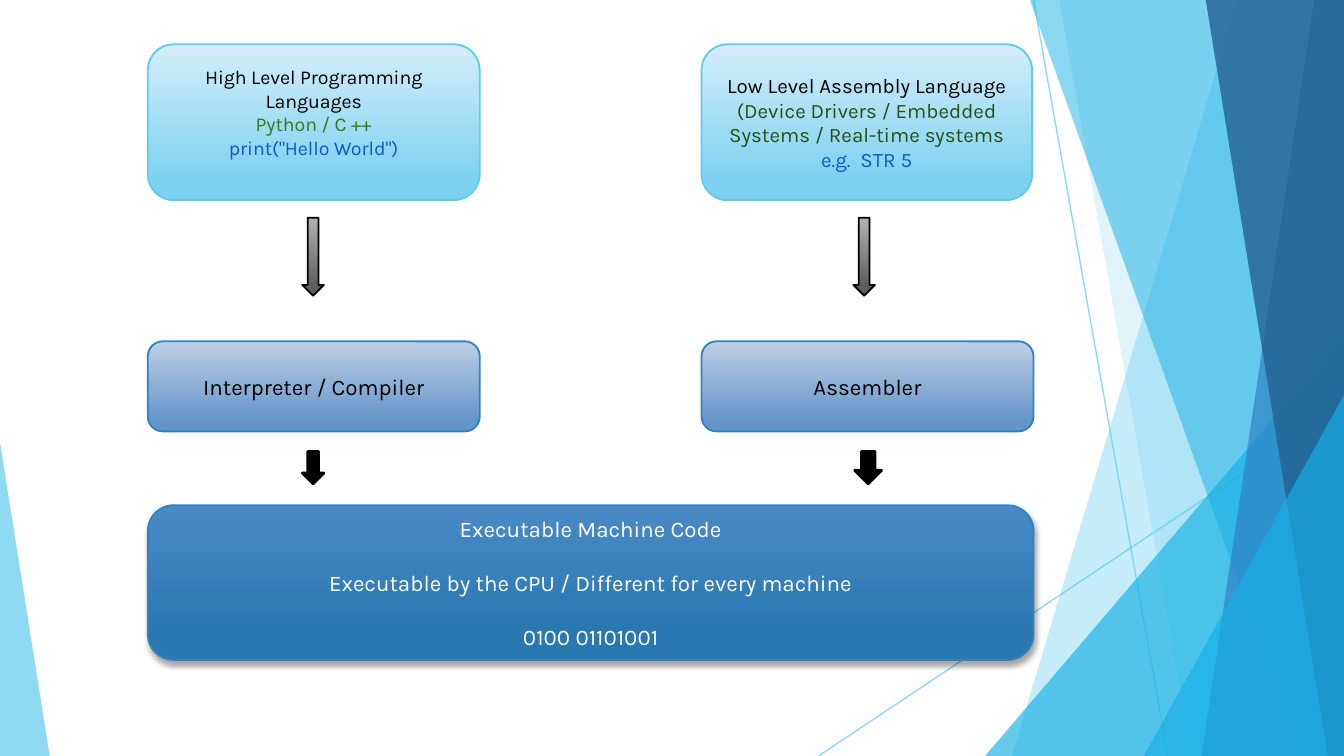
"""Build a slide showing how high and low level languages become machine code."""
from lxml import etree
from pptx import Presentation
from pptx.dml.color import RGBColor
from pptx.enum.shapes import MSO_CONNECTOR, MSO_SHAPE
from pptx.enum.text import MSO_ANCHOR, PP_ALIGN
from pptx.oxml.ns import qn
from pptx.util import Inches, Pt

STRAIGHT = MSO_CONNECTOR.STRAIGHT
ROUNDED = MSO_SHAPE.ROUNDED_RECTANGLE
DOWN_ARROW = MSO_SHAPE.DOWN_ARROW
TRIANGLE = MSO_SHAPE.ISOSCELES_TRIANGLE
TOP, MIDDLE = MSO_ANCHOR.TOP, MSO_ANCHOR.MIDDLE
CENTER = PP_ALIGN.CENTER

BLACK = RGBColor(0x00, 0x00, 0x00)
WHITE = RGBColor(0xFF, 0xFF, 0xFF)
SKY = RGBColor(0x5F, 0xCB, 0xEF)
CYAN = RGBColor(0x17, 0xB0, 0xE4)
BLUE = RGBColor(0x2E, 0x83, 0xC3)
NAVY = RGBColor(0x22, 0x62, 0x92)
GREEN = RGBColor(0x38, 0x76, 0x1D)
DARK_GREEN = RGBColor(0x27, 0x4E, 0x13)
CODE_BLUE = RGBColor(0x11, 0x55, 0xCC)
LANGUAGE_FILL = (RGBColor(0xD4, 0xEE, 0xF9), RGBColor(0x7D, 0xD1, 0xF1), 0.88)
TRANSLATOR_FILL = (RGBColor(0xBF, 0xCF, 0xE5), RGBColor(0x65, 0x96, 0xCA), 0.88)
MACHINE_FILL = (RGBColor(0x4A, 0x8B, 0xC6), RGBColor(0x2A, 0x78, 0xB2), 0.78)
ARROW_FILL = (RGBColor(0xB2, 0xB2, 0xB2), RGBColor(0x5E, 0x5E, 0x5E), 0.88)

FONT = "Karla"
WIDTH = 10
HEIGHT = WIDTH * 9 / 16
BLEED = -0.01


def set_opacity(element, percent):
    for color in element.iter(qn("a:srgbClr")):
        etree.SubElement(color, qn("a:alpha"), val=str(percent * 1000))


def add_gradient_shape(kind, box, gradient, outline):
    shape = slide.shapes.add_shape(kind, *map(Inches, box))
    shape.shadow.inherit = False
    start, end, end_position = gradient
    shape.fill.gradient()
    shape.fill.gradient_angle = 270
    for stop, color, position in zip(shape.fill.gradient_stops, (start, end), (0, end_position)):
        stop.color.rgb = color
        stop.position = position
    shape.line.color.rgb = outline
    shape.line.width = Pt(1)
    return shape


prs = Presentation()
prs.slide_width, prs.slide_height = Inches(WIDTH), Inches(HEIGHT)
slide = prs.slides.add_slide(prs.slide_layouts[6])

for ends in ((7.69, 0, 8.69, HEIGHT), (WIDTH, 3.02, 6.09, HEIGHT)):
    ray = slide.shapes.add_connector(STRAIGHT, *map(Inches, ends))
    ray.line.color.rgb = SKY
    ray.line.width = Pt(0.75)
    properties = ray._element.spPr
    set_opacity(properties, 70)
    etree.SubElement(properties, qn("a:effectLst"))

bands = [
    (9.21, 7.53, SKY, 36),
    (7.88, 8.87, SKY, 20),
    ((7.33, 2.5, 2.67, HEIGHT - 2.5), 1, CYAN, 66),
    (7.66, 9.68, CYAN, 50),
    (9.78, 8.94, BLUE, 70),
    (8.97, 9.88, NAVY, 80),
    ((8.51, 2.94, 1.49, HEIGHT - 2.94), 1, CYAN, 66),
    ((0, 3.29, 0.37, HEIGHT - 3.29), 0, SKY, 70),
]
for place, lower, color, opacity in bands:
    if isinstance(place, tuple):
        facet = slide.shapes.add_shape(TRIANGLE, *map(Inches, place))
        facet.adjustments[0] = lower
    else:
        outline = slide.shapes.build_freeform(Inches(place), Inches(BLEED))
        corners = ((WIDTH, BLEED), (WIDTH, HEIGHT), (lower, HEIGHT))
        outline.add_line_segments([(Inches(x), Inches(y)) for x, y in corners])
        facet = outline.convert_to_shape()
    facet.shadow.inherit = False
    facet.fill.solid()
    facet.fill.fore_color.rgb = color
    facet.line.fill.background()
    set_opacity(facet._element.spPr, opacity)

LEFT, RIGHT, BOX_WIDTH = 1.1, 5.22, 2.47
boxes = [
    ((LEFT, 0.33, BOX_WIDTH, 1.16), LANGUAGE_FILL, SKY, TOP, 10.5, 0, [
        ("High Level Programming Languages", BLACK),
        ("Python / C ++", GREEN),
        ('print("Hello World")', CODE_BLUE)]),
    ((RIGHT, 0.33, 2.46, 1.16), LANGUAGE_FILL, SKY, MIDDLE, 11, 0, [
        ("Low Level Assembly Language", BLACK),
        ("(Device Drivers / Embedded Systems / Real-time systems", DARK_GREEN),
        ("e.g.  STR 5", CODE_BLUE)]),
    ((LEFT, 2.54, BOX_WIDTH, 0.67), TRANSLATOR_FILL, BLUE, MIDDLE, 12, 0,
     [("Interpreter / Compiler", BLACK)]),
    ((RIGHT, 2.54, BOX_WIDTH, 0.67), TRANSLATOR_FILL, BLUE, MIDDLE, 12, 0,
     [("Assembler", BLACK)]),
    ((LEFT, 3.76, 6.59, 1.15), MACHINE_FILL, BLUE, MIDDLE, 12, 14.4, [
        ("Executable Machine Code", WHITE),
        ("Executable by the CPU / Different for every machine", WHITE),
        ("0100 01101001", WHITE)]),
]
for box, gradient, outline_color, anchor, size, gap, lines in boxes:
    stage = add_gradient_shape(ROUNDED, box, gradient, outline_color)
    frame = stage.text_frame
    frame.word_wrap = True
    frame.vertical_anchor = anchor
    frame.margin_left = frame.margin_right = Inches(0.1)
    frame.margin_top = frame.margin_bottom = Inches(0.1)
    for index, (text, color) in enumerate(lines):
        paragraph = frame.add_paragraph() if index else frame.paragraphs[0]
        paragraph.text = text
        paragraph.alignment = CENTER
        paragraph.space_before = Pt(gap if index else 0)
        paragraph.font.name = FONT
        paragraph.font.size = Pt(size)
        paragraph.font.color.rgb = color

effects = stage._element.spPr.find(qn("a:effectLst"))
shadow = etree.SubElement(effects, qn("a:outerShdw"), blurRad=str(Pt(3)),
                          dist=str(Pt(2)), dir="5400000", rotWithShape="0")
etree.SubElement(shadow, qn("a:srgbClr"), val=str(BLACK))
set_opacity(shadow, 35)

for x in (2.25, 6.35):
    add_gradient_shape(DOWN_ARROW, (x, 1.62, 0.16, 0.58), ARROW_FILL, BLACK)

for x, width in ((2.25, 0.16), (6.36, 0.2)):
    output_arrow = slide.shapes.add_shape(
        DOWN_ARROW, Inches(x), Inches(3.36), Inches(width), Inches(0.24))
    output_arrow.shadow.inherit = False
    output_arrow.fill.solid()
    output_arrow.fill.fore_color.rgb = BLACK
    output_arrow.line.color.rgb = BLACK
    output_arrow.line.width = Pt(1.5)

prs.save("out.pptx")
